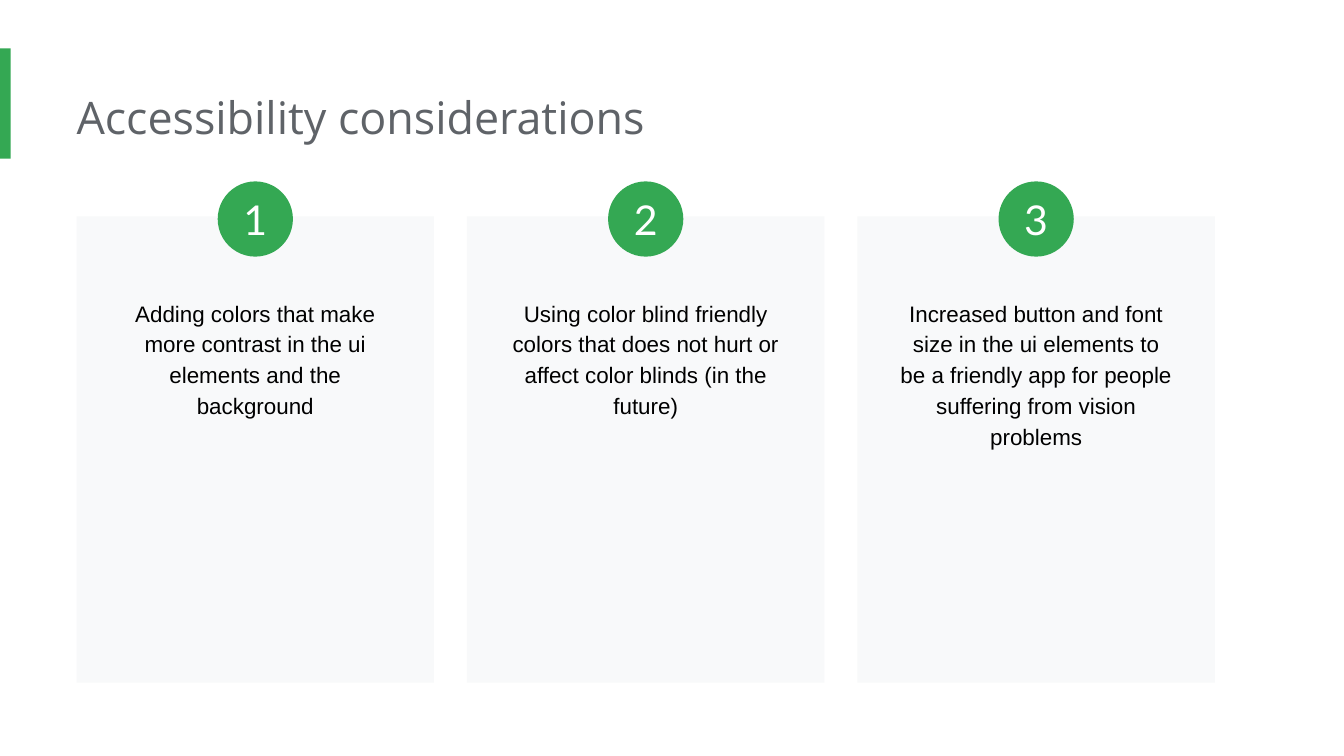
"""Build the accessibility considerations slide with three numbered cards."""
from dataclasses import dataclass

from pptx import Presentation
from pptx import util as u
from pptx.dml.color import RGBColor
from pptx.enum import shapes, text

GREEN = RGBColor(0x34, 0xA8, 0x53)
GRAY = RGBColor(0x5F, 0x63, 0x68)
PALE = RGBColor(0xF8, 0xF9, 0xFA)
BLACK = RGBColor(0, 0, 0)
WHITE = RGBColor(0xFF, 0xFF, 0xFF)

SLIDE_WIDTH = 10
SLIDE_HEIGHT = SLIDE_WIDTH * 9 / 16
LEFT, RIGHT = 0.57, 9.04
CARD_TOP, CARD_WIDTH, CARD_HEIGHT = 1.61, 2.66, 3.47
BODY_TOP, BODY_WIDTH = 2.1, 2.24
BADGE_TOP, BADGE_SIZE = 1.35, 0.56


@dataclass(frozen=True)
class Consideration:
    number: int
    body: str
    body_height: float


CONSIDERATIONS = (
    Consideration(1, "Adding colors that make more contrast in the ui elements and the background", 1.13),
    Consideration(2, "Using color blind friendly colors that does not hurt or affect color blinds (in the future)", 1.13),
    Consideration(3, "Increased button and font size in the ui elements to be a friendly app for people "
                     "suffering from vision problems", 1.36),
)


def write(shape, words: str, *, font: str, size: float, color: RGBColor,
          align=text.PP_ALIGN.LEFT, anchor=text.MSO_ANCHOR.TOP,
          insets=(0.1, 0.1, 0.1, 0.1), spacing: float = 1.0,
          fit=text.MSO_AUTO_SIZE.SHAPE_TO_FIT_TEXT) -> None:
    frame = shape.text_frame
    frame.word_wrap = True
    frame.auto_size = fit
    frame.vertical_anchor = anchor
    (frame.margin_left, frame.margin_top,
     frame.margin_right, frame.margin_bottom) = map(u.Inches, insets)
    paragraph = frame.paragraphs[0]
    paragraph.alignment = align
    paragraph.line_spacing = spacing
    run = paragraph.add_run()
    run.text = words
    run.font.name = font
    run.font.size = u.Pt(size)
    run.font.color.rgb = color


def add_filled(slide, kind, left: float, top: float, width: float, height: float, fill: RGBColor):
    shape = slide.shapes.add_shape(kind, *map(u.Inches, (left, top, width, height)))
    shape.shadow.inherit = False
    shape.fill.solid()
    shape.fill.fore_color.rgb = fill
    shape.line.fill.background()
    return shape


def add_text_box(slide, left: float, top: float, width: float, height: float):
    return slide.shapes.add_textbox(*map(u.Inches, (left, top, width, height)))


def add_card(slide, item: Consideration, left: float) -> None:
    add_filled(slide, shapes.MSO_SHAPE.RECTANGLE, left, CARD_TOP, CARD_WIDTH, CARD_HEIGHT, PALE)
    body = add_text_box(slide, left + (CARD_WIDTH - BODY_WIDTH) / 2, BODY_TOP, BODY_WIDTH, item.body_height)
    write(body, item.body, font="Arial", size=12, color=BLACK,
          align=text.PP_ALIGN.CENTER, spacing=1.15)


def add_badge(slide, item: Consideration, left: float) -> None:
    badge = add_filled(slide, shapes.MSO_SHAPE.OVAL, left + (CARD_WIDTH - BADGE_SIZE) / 2,
                       BADGE_TOP, BADGE_SIZE, BADGE_SIZE, GREEN)
    write(badge, str(item.number), font="Lato", size=22, color=WHITE,
          align=text.PP_ALIGN.CENTER, anchor=text.MSO_ANCHOR.MIDDLE,
          insets=(0, 0, 0, 0), fit=text.MSO_AUTO_SIZE.NONE)


def main() -> None:
    deck = Presentation()
    deck.slide_width, deck.slide_height = u.Inches(SLIDE_WIDTH), u.Inches(SLIDE_HEIGHT)
    slide = deck.slides.add_slide(deck.slide_layouts[6])

    add_filled(slide, shapes.MSO_SHAPE.RECTANGLE, 0, 0.36, 0.08, 0.82, GREEN)
    title = add_text_box(slide, LEFT, 0.57, 7.66, 0.61)
    write(title, "Accessibility considerations", font="Open Sans", size=24, color=GRAY,
          insets=(0, 0.1, 0.1, 0.1))

    pitch = (RIGHT - LEFT - CARD_WIDTH) / (len(CONSIDERATIONS) - 1)
    for add_part in (add_card, add_badge):
        for column, item in enumerate(CONSIDERATIONS):
            add_part(slide, item, LEFT + column * pitch)

    deck.save("out.pptx")


if __name__ == "__main__":
    main()
